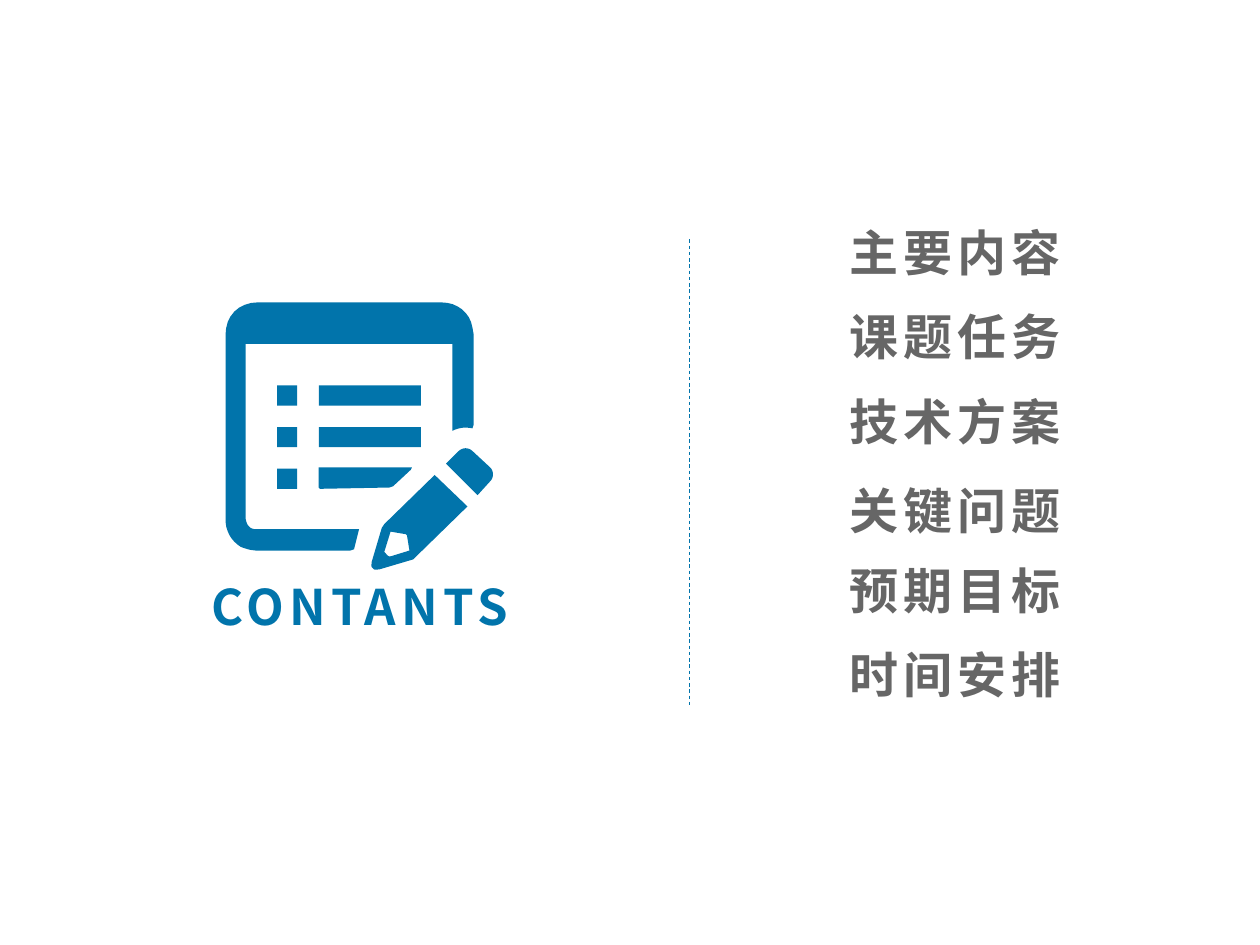
from pptx import Presentation
from pptx.dml.color import RGBColor
from pptx.enum import dml, shapes, text
from pptx.oxml.ns import qn
from pptx.util import Inches, Pt
from lxml import etree

TITLE = "CONTANTS"
# Topic and the space above it in points
TOPICS = [("主要内容", 0), ("课题任务", 14.5), ("技术方案", 14.5),
          ("关键问题", 17.5), ("预期目标", 12), ("时间安排", 14.5)]

THEME = {"blue": RGBColor(0x01, 0x74, 0xAB), "grey": RGBColor(0x66, 0x66, 0x66),
         "font": "Noto Sans CJK SC", "size": 28, "track": 3, "rule": 0.5}

# Outlines: a pair is a straight step, six numbers are a Bezier curve
PAGE = [[(2.85, 4.2), (2.81, 4.36), (2.78, 4.37), (2.05, 4.37),
         (2, 4.37, 1.96, 4.36, 1.91, 4.34), (1.83, 4.29, 1.79, 4.21, 1.79, 4.12),
         (1.79, 2.66), (1.79, 2.51, 1.89, 2.4, 2.05, 2.4), (3.5, 2.4),
         (3.63, 2.4, 3.73, 2.48, 3.75, 2.6), (3.76, 2.66), (3.76, 3.37),
         (3.75, 3.4), (3.7, 3.39, 3.65, 3.39, 3.59, 3.42), (3.59, 2.73),
         (1.95, 2.73), (1.95, 4.1), (1.95, 4.16, 1.98, 4.21, 2.05, 4.2)]]
PENCIL = [[(3.45, 3.77), (3.71, 4.02), (3.31, 4.41), (3.28, 4.44), (3.01, 4.52),
           (2.99, 4.52, 2.97, 4.53, 2.96, 4.51), (2.94, 4.5, 2.95, 4.48, 2.95, 4.46),
           (3.03, 4.19), (3.05, 4.16)],
          [(3.1, 4.22), (3.05, 4.38), (3.06, 4.39),
           (3.08, 4.42, 3.09, 4.42, 3.12, 4.41), (3.25, 4.37), (3.23, 4.25),
           (3.22, 4.24)]]
ERASER = [[(3.54, 3.68), (3.64, 3.58), (3.67, 3.55, 3.72, 3.55, 3.75, 3.58),
           (3.89, 3.71), (3.92, 3.74, 3.92, 3.79, 3.89, 3.82), (3.79, 3.93)]]
LAST_BAR = [[(2.53, 3.71), (3.27, 3.71), (3.26, 3.73), (3.12, 3.86),
             (3.09, 3.87), (2.54, 3.88), (2.53, 3.87)]]
ROWS = [3.06, 3.39, 3.72]
DOT, BAR = (2.2, 0.16), (2.53, 0.81)  # left, width
GRID = 1000  # outline units in an inch


def trace(steps, parts=8):
    """Turn straight and curved steps into points on the grid."""
    points = []
    for step in steps:
        if len(step) == 2:
            points.append(step)
            continue
        ends = [points[-1], step[:2], step[2:4], step[4:]]
        for i in range(1, parts + 1):
            t = i / parts
            mix = ((1 - t) ** 3, 3 * t * (1 - t) ** 2, 3 * t * t * (1 - t), t ** 3)
            points.append(tuple(sum(m * e[k] for m, e in zip(mix, ends))
                                for k in (0, 1)))
    return [(round(x * GRID), round(y * GRID)) for x, y in points]


def paint(shape):
    shape.shadow.inherit = False
    shape.fill.solid()
    shape.fill.fore_color.rgb = THEME["blue"]
    shape.line.fill.background()


def outline(group, loops):
    loops = [trace(loop) for loop in loops]
    pen = group.shapes.build_freeform(*loops[0][0], scale=Inches(1) / GRID)
    pen.add_line_segments(loops[0][1:], close=True)
    for loop in loops[1:]:
        pen.move_to(*loop[0])
        pen.add_line_segments(loop[1:], close=True)
    paint(pen.convert_to_shape())


def block(group, left, top, width, height=0.16):
    paint(group.shapes.add_shape(shapes.MSO_SHAPE.RECTANGLE,
                                 *map(Inches, (left, top, width, height))))


def place(holder, left, top, width, height):
    holder.left, holder.top, holder.width, holder.height = map(
        Inches, (left, top, width, height))
    frame = holder.text_frame
    frame.word_wrap = True
    frame.auto_size = text.MSO_AUTO_SIZE.NONE
    frame.vertical_anchor = text.MSO_ANCHOR.MIDDLE
    return frame


def write(para, words, color, align, gap=0):
    para.alignment, para.space_before = align, Pt(gap)
    props = para._p.get_or_add_pPr()
    props.set("marL", "0")
    props.set("indent", "0")
    etree.SubElement(props, qn("a:buNone"))
    run = para.add_run()
    run.text = words
    font = run.font
    font.name, font.size, font.bold = THEME["font"], Pt(THEME["size"]), True
    font.color.rgb = color
    font._element.set("spc", str(THEME["track"] * 100))
    etree.SubElement(font._element, qn("a:ea"), typeface=THEME["font"])


def main():
    deck = Presentation()
    deck.slide_width, deck.slide_height = Inches(10), Inches(7.5)
    slide = deck.slides.add_slide(deck.slide_layouts[1])
    title, body = slide.placeholders

    rule = slide.shapes.add_connector(shapes.MSO_CONNECTOR.STRAIGHT,
                                      *map(Inches, (5.47, 1.9, 5.47, 5.6)))
    rule.line.color.rgb = THEME["blue"]
    rule.line.width = Pt(THEME["rule"])
    rule.line.dash_style = dml.MSO_LINE.DASH
    etree.SubElement(rule._element.spPr, qn("a:effectLst"))

    icon = slide.shapes.add_group_shape()
    for loops in (PAGE, PENCIL, LAST_BAR, ERASER):
        outline(icon, loops)
    for i, top in enumerate(ROWS):
        block(icon, DOT[0], top, DOT[1])
        if i < len(ROWS) - 1:
            block(icon, BAR[0], top, BAR[1])

    frame = place(title, 1.4, 4.52, 2.91, 0.57)
    write(frame.paragraphs[0], TITLE, THEME["blue"], text.PP_ALIGN.CENTER)

    frame = place(body, 6.64, 1.72, 1.96, 3.91)
    for i, (topic, gap) in enumerate(TOPICS):
        para = frame.add_paragraph() if i else frame.paragraphs[0]
        write(para, topic, THEME["grey"], text.PP_ALIGN.LEFT, gap)

    deck.save("out.pptx")


if __name__ == "__main__":
    main()
